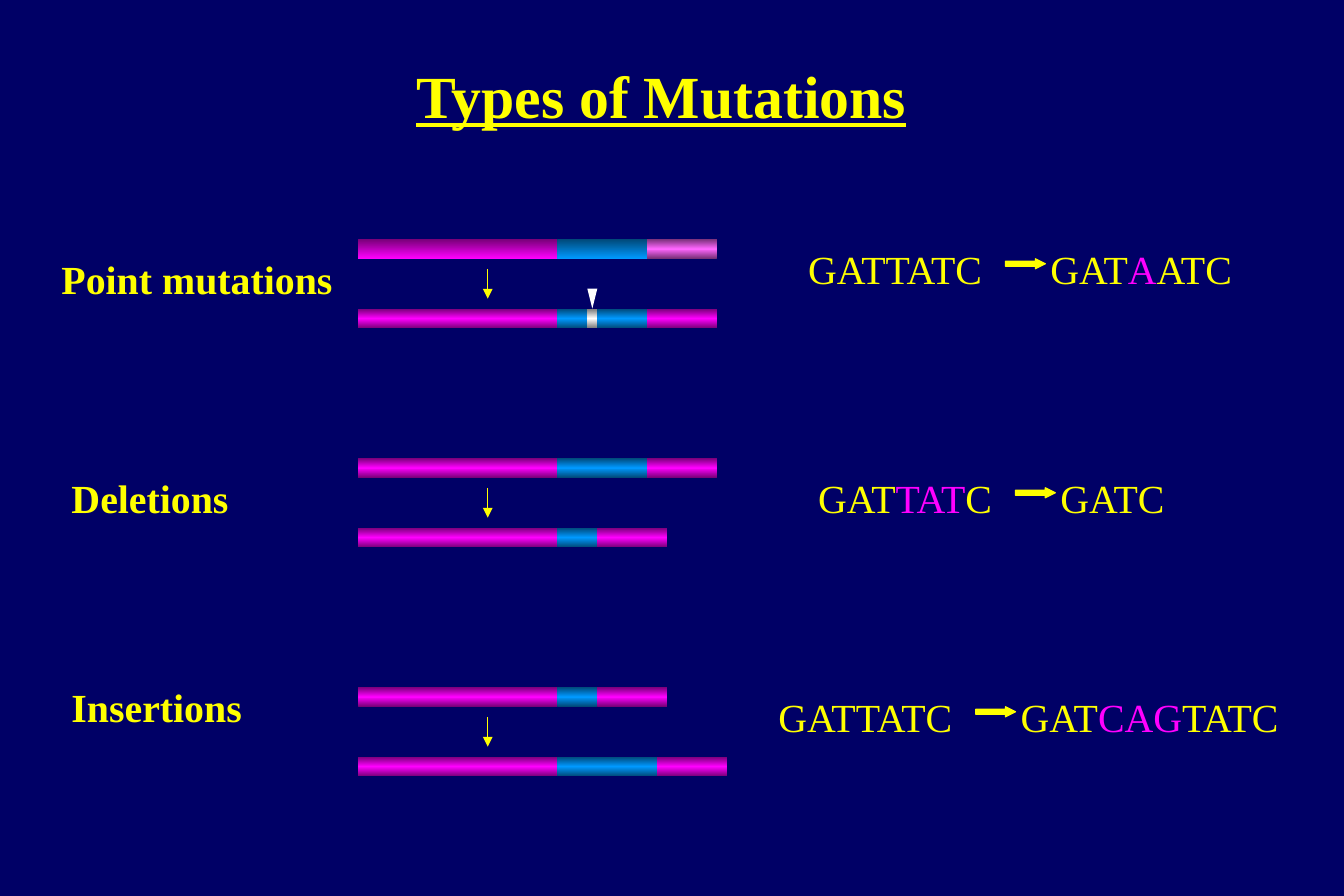
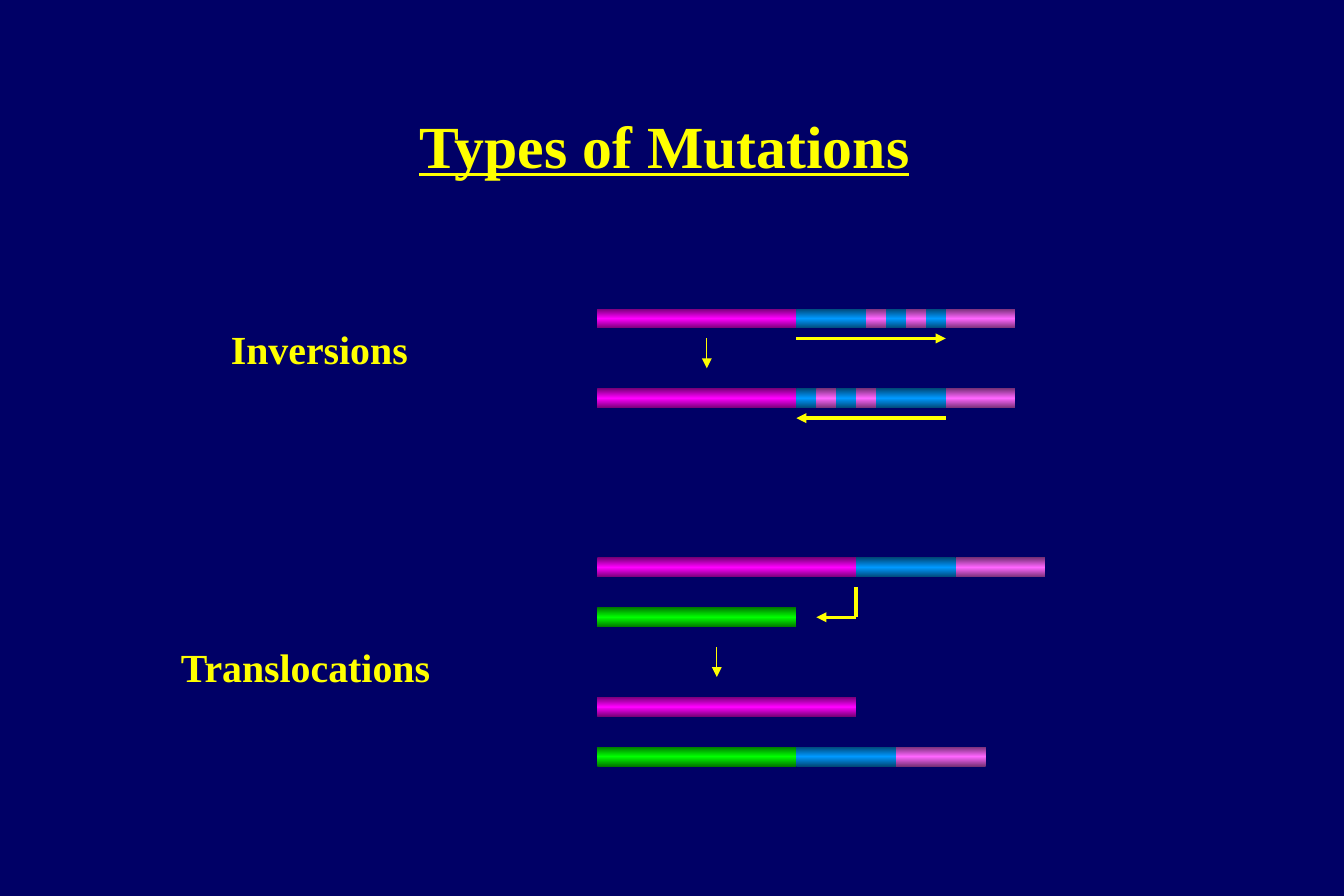
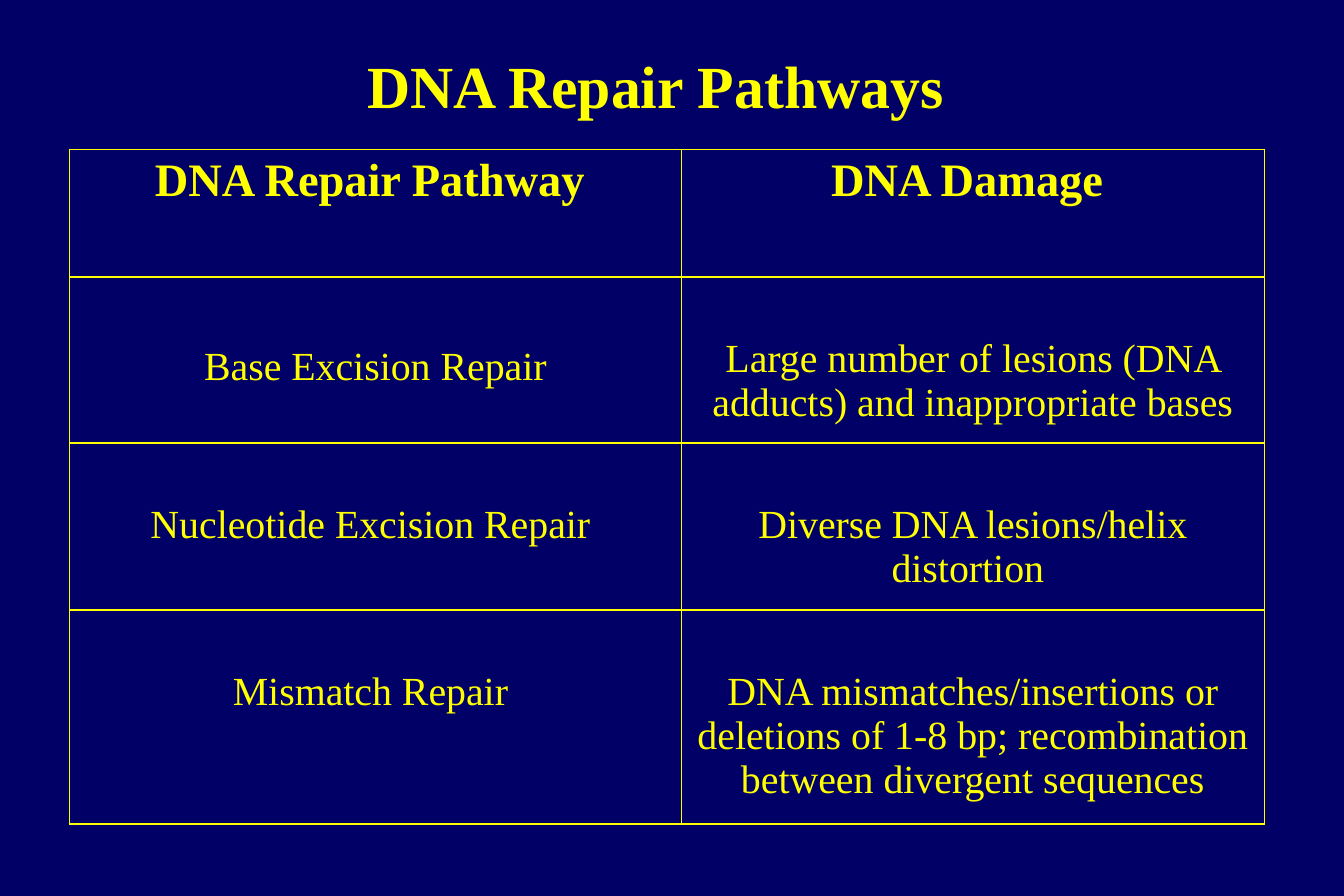
from copy import deepcopy

from pptx import Presentation
from pptx.dml.color import RGBColor
from pptx.enum.shapes import MSO_CONNECTOR, MSO_SHAPE
from pptx.enum.text import MSO_ANCHOR, PP_ALIGN
from pptx.oxml import parse_xml
from pptx.oxml.ns import nsdecls, qn
from pptx.oxml.xmlchemy import OxmlElement
from pptx.util import Pt

RECTANGLE, MERGE, RIGHT_ARROW = MSO_SHAPE.RECTANGLE, MSO_SHAPE.FLOWCHART_MERGE, MSO_SHAPE.RIGHT_ARROW
STRAIGHT = MSO_CONNECTOR.STRAIGHT
LEFT, CENTER = PP_ALIGN.LEFT, PP_ALIGN.CENTER
TOP, MIDDLE = MSO_ANCHOR.TOP, MSO_ANCHOR.MIDDLE

FONT = "Times New Roman"
NAVY = RGBColor(0x00, 0x00, 0x66)
YELLOW = RGBColor(0xFF, 0xFF, 0x00)
WHITE = RGBColor(0xFF, 0xFF, 0xFF)
MAGENTA = RGBColor(0xFF, 0x00, 0xFF)
DARK_MAGENTA = RGBColor(0x76, 0x00, 0x76)
BLUE = RGBColor(0x00, 0x99, 0xFF)
DARK_BLUE = RGBColor(0x00, 0x47, 0x76)
PINK = RGBColor(0xFF, 0x66, 0xFF)
DARK_PINK = RGBColor(0x76, 0x2F, 0x76)
GREEN = RGBColor(0x00, 0xFF, 0x00)
DARK_GREEN = RGBColor(0x00, 0x76, 0x00)
GREY = RGBColor(0x76, 0x76, 0x76)

# Gradient colours of the gene segments, from top to bottom
TONES = {
    "magenta": (DARK_MAGENTA, MAGENTA, DARK_MAGENTA),
    "blue": (DARK_BLUE, BLUE, DARK_BLUE),
    "pink": (DARK_PINK, PINK, DARK_PINK),
    "green": (DARK_GREEN, GREEN, DARK_GREEN),
    "white": (GREY, WHITE, GREY),
    "magenta ramp": (DARK_MAGENTA, MAGENTA),
    "blue ramp": (DARK_BLUE, BLUE),
}

# The diagrams sit on a grid of 6 points; their numbers are grid units.
UNIT = 6
BAR_HEIGHT = 2
LABEL_HEIGHT = 6
THIN, THICK = 0.75, 2
CELL_INSET = 3.6
TAB_STOP = 146

# Label (text, left, top, width); bars top and segments; sequence left, top and spans
SEQUENCE_MUTATIONS = [
    {"label": ("Point mutations", 5, 25, 30), "top": 24,
     "before": [("magenta ramp", 20), ("blue ramp", 9), ("pink", 7)],
     "after": [("magenta", 20), ("blue", 3), ("white", 1), ("blue", 5), ("magenta", 7)],
     "sequence": (80, 24), "spans": [("GATTATC\tGAT", YELLOW), ("A", MAGENTA), ("ATC", YELLOW)]},
    {"label": ("Deletions", 6, 47, 20), "top": 46,
     "before": [("magenta", 20), ("blue", 9), ("magenta", 7)],
     "after": [("magenta", 20), ("blue", 4), ("magenta", 7)],
     "sequence": (81, 47), "spans": [("GAT", YELLOW), ("TAT", MAGENTA), ("C\tGATC", YELLOW)]},
    {"label": ("Insertions", 6, 68, 20), "top": 69,
     "before": [("magenta", 20), ("blue", 4), ("magenta", 7)],
     "after": [("magenta", 20), ("blue", 10), ("magenta", 7)],
     "sequence": (77, 69), "spans": [("GATTATC\tGAT", YELLOW), ("CAG", MAGENTA), ("TATC", YELLOW)]},
]
SEQUENCE_BAR_LEFT = 36

REARRANGEMENT_LABELS = [("Inversions", 22, 32, 22), ("Translocations", 17, 64, 29)]
REARRANGEMENT_BAR_LEFT = 60
REARRANGEMENT_BARS = [
    (31, [("magenta", 20), ("blue", 7), ("pink", 2), ("blue", 2), ("pink", 2), ("blue", 2), ("pink", 7)]),
    (39, [("magenta", 20), ("blue", 2), ("pink", 2), ("blue", 2), ("pink", 2), ("blue", 7), ("pink", 7)]),
    (56, [("magenta", 26), ("blue", 10), ("pink", 9)]),
    (61, [("green", 20)]),
    (70, [("magenta", 26)]),
    (75, [("green", 20), ("blue", 10), ("pink", 9)]),
]
# Start, end, width, arrowhead
REARRANGEMENT_LINES = [
    ((80, 34), (95, 34), THICK, True),
    ((95, 42), (80, 42), THICK, True),
    ((86, 59), (86, 62), THICK, False),
    ((86, 62), (82, 62), THICK, True),
    ((71, 34), (71, 37), THIN, True),
    ((72, 65), (72, 68), THIN, True),
]

REPAIR_ROWS = [
    ("DNA Repair Pathway ", "DNA Damage "),
    ("Base Excision Repair", "Large number of lesions (DNA adducts) and inappropriate bases"),
    ("Nucleotide Excision Repair ", "Diverse DNA lesions/helix distortion "),
    ("Mismatch Repair ",
     "DNA mismatches/insertions or deletions of 1-8 bp; recombination between divergent sequences"),
]
REPAIR_COLUMNS = [368.6, 351.4]
REPAIR_HEIGHTS = [77, 100, 100.8, 128.8]
# Inset above the text of each cell
REPAIR_INSETS = [(CELL_INSET, CELL_INSET), (40.8, 36.2), (36.2, 36.2), (36.2, 36.2)]


def grid(*units):
    return [Pt(unit * UNIT) for unit in units]


def write(frame, spans, size=24, bold=False, underline=False, align=LEFT,
          anchor=TOP, tab=None):
    """Fill a frame with one paragraph; spans is a text or (text, colour) pairs."""
    frame.word_wrap = True
    frame.vertical_anchor = anchor
    para = frame.paragraphs[0]
    para.alignment = align
    if tab:
        para._p.get_or_add_pPr().append(parse_xml(
            f'<a:tabLst {nsdecls("a")}><a:tab pos="{Pt(tab)}" algn="l"/></a:tabLst>'))
    for text, colour in [(spans, YELLOW)] if isinstance(spans, str) else spans:
        span = para.add_run()
        span.text = text
        font = span.font
        font.name, font.size, font.bold, font.underline = FONT, Pt(size), bold, underline
        font.color.rgb = colour


def add_title(page, text, left, top, width, height, underline=True):
    box = page.shapes.add_textbox(Pt(left), Pt(top), Pt(width), Pt(height))
    write(box.text_frame, text, size=36, bold=True, underline=underline,
          align=CENTER, anchor=MIDDLE)


def add_label(page, text, left, top, width):
    box = page.shapes.add_textbox(*grid(left, top, width, LABEL_HEIGHT))
    write(box.text_frame, text, bold=True)


def add_plain_shape(page, kind, left, top, width, height, colour=None):
    shape = page.shapes.add_shape(kind, *grid(left, top, width, height))
    shape.shadow.inherit = False
    shape.line.fill.background()
    if colour is not None:
        shape.fill.solid()
        shape.fill.fore_color.rgb = colour
    return shape


def add_bar(page, left, top, segments):
    """Draw gene segments end to end, each with a vertical gradient."""
    for tone, width in segments:
        colours = TONES[tone]
        shape = add_plain_shape(page, RECTANGLE, left, top, width, BAR_HEIGHT)
        shape.fill.gradient()
        shape.fill.gradient_angle = 270
        stop_list = shape._element.spPr.find(".//" + qn("a:gsLst"))
        while len(stop_list) < len(colours):
            stop_list.append(deepcopy(stop_list[-1]))
        for index, (stop, colour) in enumerate(zip(shape.fill.gradient_stops, colours)):
            stop.position = index / (len(colours) - 1)
            stop.color.rgb = colour
        left += width


def add_line(page, start, end, width=THIN, arrow=True):
    line = page.shapes.add_connector(STRAIGHT, *grid(*start, *end))
    line.line.color.rgb = YELLOW
    line.line.width = Pt(width)
    if arrow:
        tail = OxmlElement("a:tailEnd")
        tail.set("type", "triangle")
        line.line._get_or_add_ln().append(tail)
    line._element.spPr.append(OxmlElement("a:effectLst"))


def add_sequence(page, left, top, spans):
    box = page.shapes.add_textbox(*grid(left, top, 56, LABEL_HEIGHT))
    write(box.text_frame, spans, tab=TAB_STOP)
    arrow = add_plain_shape(page, RIGHT_ARROW, left + 21, top + 2, 4, 1, YELLOW)
    arrow.adjustments[1] = 1
    arrow.line.color.rgb = YELLOW
    arrow.line.width = Pt(THIN)


def set_borders(cell):
    properties = cell._tc.get_or_add_tcPr()
    for index, side in enumerate("LRTB"):
        properties.insert(index, parse_xml(
            f'<a:ln{side} {nsdecls("a")} w="{Pt(1.08)}"><a:solidFill>'
            f'<a:srgbClr val="{YELLOW}"/></a:solidFill></a:ln{side}>'))


def build_sequence_page(page):
    add_title(page, "Types of Mutations", 132, 24, 533, 66)
    for mutation in SEQUENCE_MUTATIONS:
        top = mutation["top"]
        add_label(page, *mutation["label"])
        add_bar(page, SEQUENCE_BAR_LEFT, top, mutation["before"])
        add_bar(page, SEQUENCE_BAR_LEFT, top + 7, mutation["after"])
        add_line(page, (49, top + 3), (49, top + 6))
        add_sequence(page, *mutation["sequence"], mutation["spans"])
    add_plain_shape(page, MERGE, 59, 29, 1, 2, WHITE)


def build_rearrangement_page(page):
    add_title(page, "Types of Mutations", 56, 48, 689, 78)
    for label in REARRANGEMENT_LABELS:
        add_label(page, *label)
    for top, segments in REARRANGEMENT_BARS:
        add_bar(page, REARRANGEMENT_BAR_LEFT, top, segments)
    for line in REARRANGEMENT_LINES:
        add_line(page, *line)


def build_repair_page(page):
    add_title(page, "DNA Repair Pathways", 88, 24, 614, 54, underline=False)
    table = page.shapes.add_table(
        len(REPAIR_ROWS), len(REPAIR_COLUMNS), Pt(42), Pt(90),
        Pt(sum(REPAIR_COLUMNS)), Pt(sum(REPAIR_HEIGHTS))).table
    table.horz_banding = False
    for column, width in zip(table.columns, REPAIR_COLUMNS):
        column.width = Pt(width)
    for row_index, texts in enumerate(REPAIR_ROWS):
        table.rows[row_index].height = Pt(REPAIR_HEIGHTS[row_index])
        header = row_index == 0
        for column_index, text in enumerate(texts):
            cell = table.cell(row_index, column_index)
            cell.fill.background()
            set_borders(cell)
            cell.margin_top = Pt(REPAIR_INSETS[row_index][column_index])
            write(cell.text_frame, text, size=28 if header else 24, bold=header, align=CENTER)


def main():
    deck = Presentation()
    deck.slide_width, deck.slide_height = Pt(810), Pt(540)
    background = deck.slide_master.background.fill
    background.solid()
    background.fore_color.rgb = NAVY
    for build in (build_sequence_page, build_rearrangement_page, build_repair_page):
        build(deck.slides.add_slide(deck.slide_layouts[6]))
    deck.save("out.pptx")


if __name__ == "__main__":
    main()
